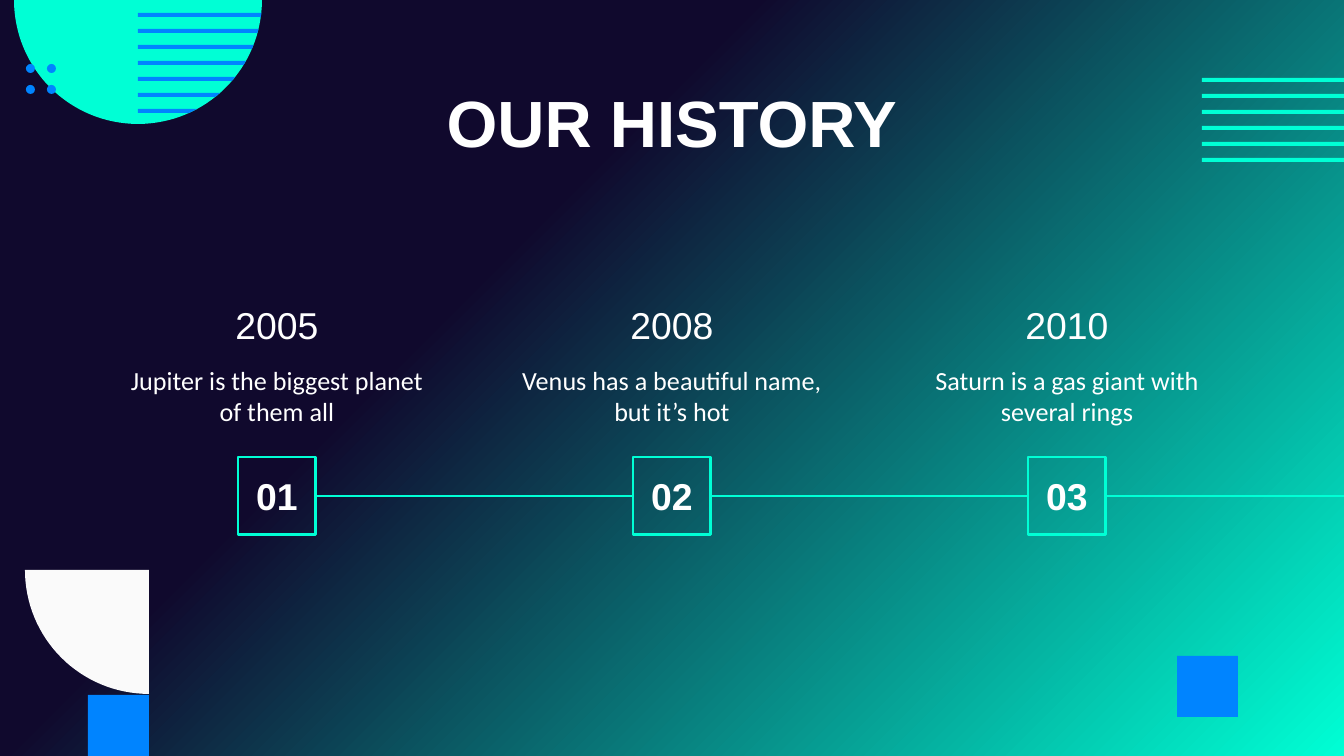
from math import cos, pi, sin, sqrt

from lxml import etree
from pptx import Presentation
from pptx.dml.color import RGBColor
from pptx.enum.shapes import MSO_CONNECTOR, MSO_SHAPE
from pptx.enum.text import MSO_ANCHOR, PP_ALIGN
from pptx.oxml.ns import qn
from pptx.util import Emu, Pt

RECT, OVAL, STRAIGHT = MSO_SHAPE.RECTANGLE, MSO_SHAPE.OVAL, MSO_CONNECTOR.STRAIGHT
TOP, MIDDLE, CENTER = MSO_ANCHOR.TOP, MSO_ANCHOR.MIDDLE, PP_ALIGN.CENTER

TITLE = "OUR HISTORY"
MILESTONES = [
    ("01", "2005", "Jupiter is the biggest planet of them all"),
    ("02", "2008", "Venus has a beautiful name, but it’s hot"),
    ("03", "2010", "Saturn is a gas giant with several rings"),
]
NAVY, MINT, BLUE, PALE, WHITE = "10092D", "00FFD5", "0084FF", "FAFAFA", "FFFFFF"
TITLE_FONT = {"name": "Arial", "size": Pt(35), "bold": True}
NUMBER_FONT = {"name": "Arial", "size": Pt(20), "bold": True}
YEAR_FONT = {"name": "Arial", "size": Pt(20), "bold": False}
DETAIL_FONT = {"name": "Calibri", "size": Pt(14), "bold": False}

WIDTH, HEIGHT = 1344, 756
SQUARES = [(1177, 656), (88, 695)]
SQUARE = 61
DISC_X, DISC_Y, RADIUS = 138, 0, 124
STRIPE_STEP, STRIPE_HEIGHT = 16, 4
BOX_LEFT, BOX_TOP, BOX, BOX_STEP = 238, 457, 78, 395
TEXT_WIDTH, LINE_END = 344, 1363


def px(value):
    return Emu(round(value * 914400 / 134.4))


def color(value):
    return RGBColor.from_string(value)


def paint(shape, fill):
    shape.shadow.inherit = False
    shape.line.fill.background()
    shape.fill.solid()
    shape.fill.fore_color.rgb = color(fill)


def add_preset(page, kind, bounds, fill):
    paint(page.shapes.add_shape(kind, *map(px, bounds)), fill)


def add_outline(page, points, fill):
    start, *rest = [(px(x), px(y)) for x, y in points]
    builder = page.shapes.build_freeform(*start)
    builder.add_line_segments(rest, close=True)
    paint(builder.convert_to_shape(), fill)


def add_quarter(page, x, y, side, fill):
    steps = 32
    angles = [pi / 2 * i / steps for i in range(steps + 1)]
    arc = [(x + side * RADIUS * cos(a), y + RADIUS * sin(a)) for a in angles]
    add_outline(page, [(x, y), *arc], fill)


def write(shape, text, font, anchor=MIDDLE):
    frame = shape.text_frame
    margins = ("margin_left", "margin_top", "margin_right", "margin_bottom")
    settings = {"word_wrap": True, "vertical_anchor": anchor, **dict.fromkeys(margins, Pt(7.2))}
    for name, value in settings.items():
        setattr(frame, name, value)
    para = frame.paragraphs[0]
    para.alignment = CENTER
    span = para.add_run()
    span.text = text
    for name, value in font.items():
        setattr(span.font, name, value)
    span.font.color.rgb = color(WHITE)


def add_text(page, bounds, text, font, anchor=MIDDLE):
    write(page.shapes.add_textbox(*map(px, bounds)), text, font, anchor)


def add_background(page):
    fill = page.background.fill
    fill.gradient()
    fill.gradient_angle = 315
    for stop, position, value in zip(fill.gradient_stops, (0.36, 1), (NAVY, MINT)):
        stop.position = position
        stop.color.rgb = color(value)


def add_decoration(page):
    for x, y in SQUARES:
        add_preset(page, RECT, (x, y, SQUARE, SQUARE), BLUE)
    add_quarter(page, 149, 570, -1, PALE)
    for i in range(6):
        add_preset(page, RECT, (1202, 78 + i * STRIPE_STEP, 344, STRIPE_HEIGHT), MINT)
    for side in (1, -1):
        add_quarter(page, DISC_X, DISC_Y, side, MINT)
    for i in range(7):
        top = 13 + i * STRIPE_STEP
        bottom = top + STRIPE_HEIGHT
        ends = [(DISC_X + sqrt(RADIUS**2 - y**2), y) for y in (top, bottom)]
        add_outline(page, [(DISC_X, top), *ends, (DISC_X, bottom)], BLUE)
    for x in (26, 47):
        for y in (64, 85):
            add_preset(page, OVAL, (x, y, 9, 9), BLUE)


def add_milestone(page, index, number, year, detail):
    left = BOX_LEFT + index * BOX_STEP
    text_left = left + (BOX - TEXT_WIDTH) / 2
    add_text(page, (text_left, 286, TEXT_WIDTH, 78), year, YEAR_FONT)
    add_text(page, (text_left, 351, TEXT_WIDTH, 105), detail, DETAIL_FONT, TOP)
    box = page.shapes.add_shape(RECT, *map(px, (left, BOX_TOP, BOX, BOX)))
    box.shadow.inherit = False
    box.fill.background()
    box.line.color.rgb = color(MINT)
    box.line.width = Pt(1.5)
    write(box, number, NUMBER_FONT)
    return box


def add_links(page, boxes):
    middle = px(BOX_TOP + BOX / 2)
    for box, following in zip(boxes, [*boxes[1:], None]):
        link = page.shapes.add_connector(STRAIGHT, box.left + box.width, middle, px(LINE_END), middle)
        link.begin_connect(box, 3)
        if following:
            link.end_connect(following, 1)
        link.line.color.rgb = color(MINT)
        link.line.width = Pt(1.5)
        etree.SubElement(link._element.spPr, qn("a:effectLst"))


def main():
    """Build the company history timeline slide."""
    deck = Presentation()
    deck.slide_width, deck.slide_height = px(WIDTH), px(HEIGHT)
    page = deck.slides.add_slide(deck.slide_layouts[6])
    add_background(page)
    add_decoration(page)
    boxes = [add_milestone(page, i, *item) for i, item in enumerate(MILESTONES)]
    add_links(page, boxes)
    add_text(page, (106, 79, 1132, 84), TITLE, TITLE_FONT)
    deck.save("out.pptx")


if __name__ == "__main__":
    main()
